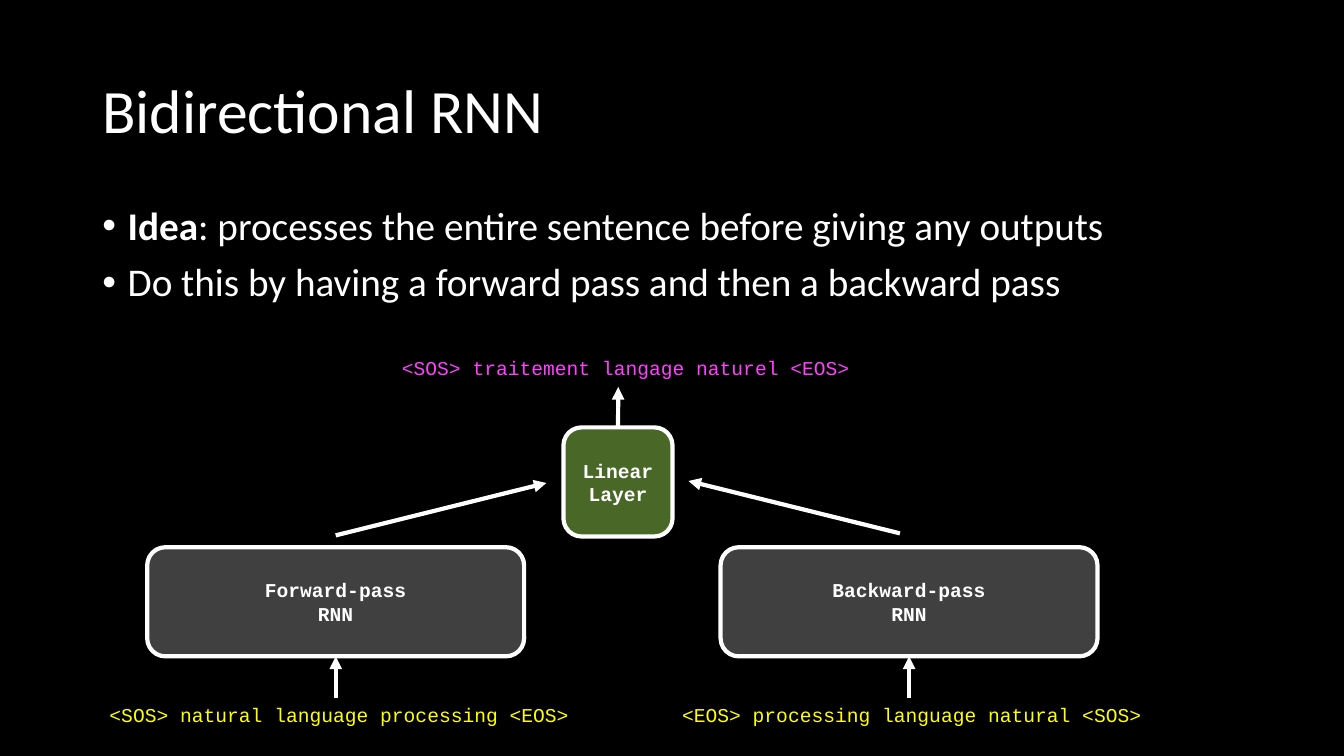
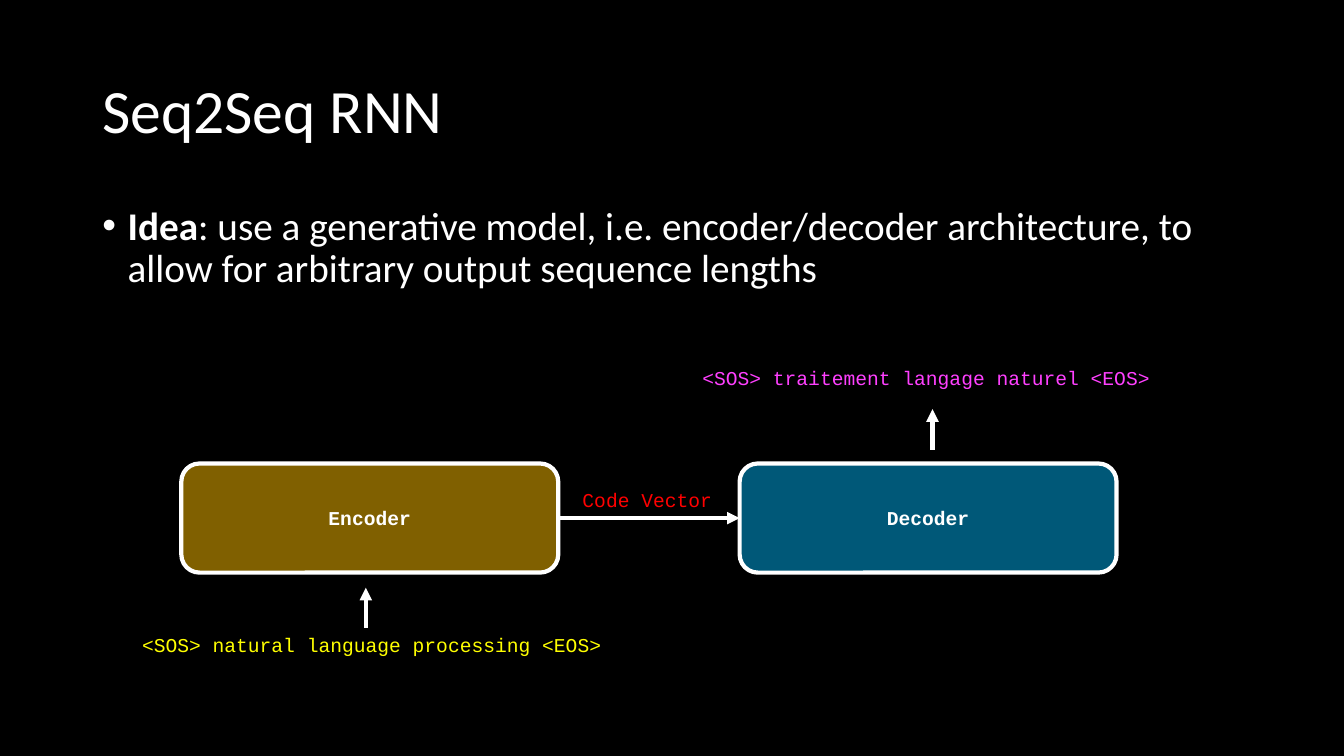
from lxml.etree import SubElement
from pptx import Presentation
from pptx.dml.color import RGBColor
from pptx.enum.shapes import MSO_CONNECTOR, MSO_SHAPE
from pptx.enum.text import MSO_ANCHOR, PP_ALIGN
from pptx.oxml.ns import qn
from pptx.util import Cm, Pt

WHITE = "FFFFFF"
SOURCE_COLOR = "FFFF00"
TARGET_COLOR = "FF40FF"
CODE_COLOR = "FF0000"
RNN_COLOR = "808080"
BLOCK_WIDTH, BLOCK_HEIGHT = 9.5, 2.75
SEQUENCE_WIDTH, SEQUENCE_HEIGHT = 13.03, 0.87
TOP, LEFT, BOTTOM, RIGHT = range(4)


def rgb(color):
    return RGBColor.from_string(color)


def add_run(paragraph, text, size, font_name, color=WHITE, bold=False):
    run = paragraph.add_run()
    run.text = text
    run.font.size = Pt(size)
    run.font.name = font_name
    run.font.bold = bold
    run.font.color.rgb = rgb(color)


# Blocks: label lines, left, top, width, fill colour
# Sequences: text, left, top, width, colour
# Arrows: start, end, joined block and side at the start, then at the end
slides = [
    {
        "title": "Bidirectional RNN",
        "bullets": [
            [("Idea", True), (": processes the entire sentence before giving any outputs", False)],
            [("Do this by having a forward pass and then a backward pass", False)],
        ],
        "blocks": [
            (["Forward-pass", "RNN"], 3.71, 13.79, BLOCK_WIDTH, RNN_COLOR),
            (["Linear", "Layer"], 14.2, 10.77, BLOCK_HEIGHT, "92D050"),
            (["Backward-pass", "RNN"], 18.16, 13.79, BLOCK_WIDTH, RNN_COLOR),
        ],
        "sequences": [
            ("<SOS> natural language processing <EOS>", 2.51, 17.6, SEQUENCE_WIDTH, SOURCE_COLOR),
            ("<EOS> processing language natural <SOS>", 16.94, 17.6, SEQUENCE_WIDTH, SOURCE_COLOR),
            ("<SOS> traitement langage naturel <EOS>", 9.88, 8.84, SEQUENCE_WIDTH, TARGET_COLOR),
        ],
        "arrows": [
            ((8.46, 17.6), (8.46, 16.54), None, (0, BOTTOM)),
            ((22.91, 17.6), (22.91, 16.54), None, (2, BOTTOM)),
            ((15.58, 10.77), (15.58, 9.75), (1, TOP), None),
            ((8.46, 13.49), (13.77, 12.17), None, None),
            ((22.68, 13.44), (17.35, 12.12), None, None),
        ],
    },
    {
        "title": "Seq2Seq RNN",
        "bullets": [
            [("Idea", True), (": use a generative model, i.e. encoder/decoder architecture, "
                              "to allow for arbitrary output sequence lengths", False)],
        ],
        "blocks": [
            (["Encoder"], 4.57, 11.68, BLOCK_WIDTH, "FFC000"),
            (["Decoder"], 18.64, 11.68, BLOCK_WIDTH, "00B0F0"),
        ],
        "sequences": [
            ("<SOS> natural language processing <EOS>", 3.33, 15.82, SEQUENCE_WIDTH, SOURCE_COLOR),
            ("<SOS> traitement langage naturel <EOS>", 17.45, 9.09, SEQUENCE_WIDTH, TARGET_COLOR),
            ("Code Vector", 14.43, 12.17, 4.22, CODE_COLOR),
        ],
        "arrows": [
            ((9.22, 15.82), (9.22, 14.81), None, None),
            ((23.5, 11.33), (23.5, 10.31), None, None),
            ((14.07, 13.06), (18.64, 13.06), (0, RIGHT), (1, LEFT)),
        ],
    },
]

prs = Presentation()
prs.slide_width, prs.slide_height = Cm(33.87), Cm(19.05)
background = prs.slide_master.background.fill
background.solid()
background.fore_color.rgb = rgb("000000")

for content in slides:
    slide = prs.slides.add_slide(prs.slide_layouts[6])

    title = slide.shapes.add_textbox(Cm(2.33), Cm(1.02), Cm(29.21), Cm(3.68)).text_frame
    title.word_wrap = True
    title.vertical_anchor = MSO_ANCHOR.MIDDLE
    title.paragraphs[0].line_spacing = 0.9
    add_run(title.paragraphs[0], content["title"], 44, "Calibri")

    body = slide.shapes.add_textbox(Cm(2.33), Cm(5.08), Cm(29.21), Cm(2.74)).text_frame
    body.word_wrap = True
    for index, bullet in enumerate(content["bullets"]):
        paragraph = body.add_paragraph() if index else body.paragraphs[0]
        paragraph.line_spacing = 0.9
        paragraph.space_before = Pt(10)
        for text, bold in bullet:
            add_run(paragraph, text, 28, "Calibri", bold=bold)
        properties = paragraph._p.get_or_add_pPr()
        indent = Cm(0.64)
        properties.set("marL", str(indent))
        properties.set("indent", str(-indent))
        SubElement(properties, qn("a:buFont"), typeface="Arial")
        SubElement(properties, qn("a:buChar"), char="•")

    blocks = []
    for label_lines, left, top, width, color in content["blocks"]:
        block = slide.shapes.add_shape(
            MSO_SHAPE.ROUNDED_RECTANGLE, Cm(left), Cm(top), Cm(width), Cm(BLOCK_HEIGHT))
        block.shadow.inherit = False
        block.fill.solid()
        block.fill.fore_color.rgb = rgb(color)
        fill_color = block.fill._xPr.find(qn("a:solidFill"))[0]
        SubElement(fill_color, qn("a:alpha"), val="50000")
        block.line.color.rgb = rgb(WHITE)
        block.line.width = Pt(3)
        label = block.text_frame
        label.margin_left = label.margin_right = Cm(0.1)
        label.vertical_anchor = MSO_ANCHOR.MIDDLE
        paragraph = label.paragraphs[0]
        paragraph.alignment = PP_ALIGN.CENTER
        for index, line in enumerate(label_lines):
            if index:
                paragraph.add_line_break()
            add_run(paragraph, line, 14, "Courier New", bold=True)
        blocks.append(block)

    for text, left, top, width, color in content["sequences"]:
        sequence = slide.shapes.add_textbox(
            Cm(left), Cm(top), Cm(width), Cm(SEQUENCE_HEIGHT)).text_frame
        sequence.word_wrap = True
        add_run(sequence.paragraphs[0], text, 14, "Courier New", color)

    for start, end, start_join, end_join in content["arrows"]:
        arrow = slide.shapes.add_connector(
            MSO_CONNECTOR.STRAIGHT, *[Cm(value) for value in start + end])
        if start_join:
            arrow.begin_connect(blocks[start_join[0]], start_join[1])
        if end_join:
            arrow.end_connect(blocks[end_join[0]], end_join[1])
        arrow.line.color.rgb = rgb(WHITE)
        arrow.line.width = Pt(3)
        SubElement(arrow.line._get_or_add_ln(), qn("a:tailEnd"), type="triangle")
        SubElement(arrow._element.spPr, qn("a:effectLst"))

prs.save("out.pptx")
